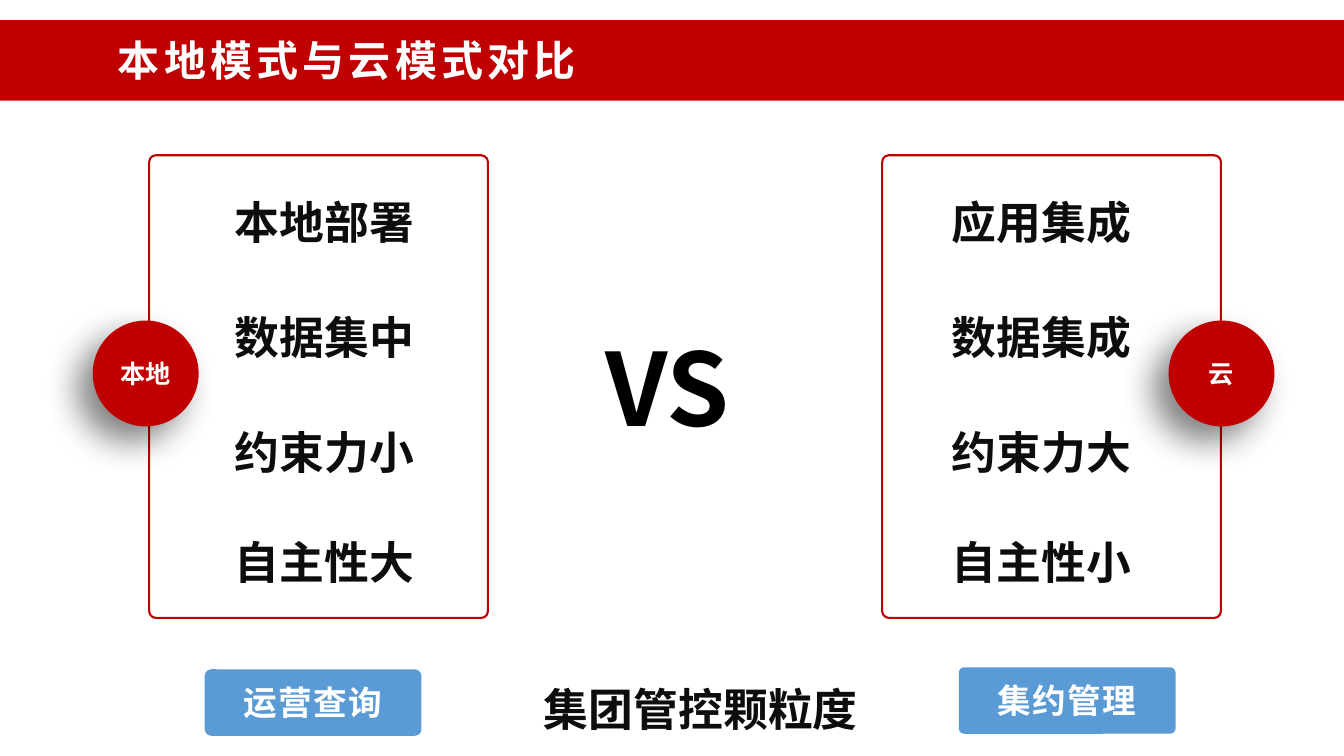
from lxml import etree
from pptx import Presentation
from pptx.dml.color import RGBColor
from pptx.enum.shapes import MSO_SHAPE as SHAPE
from pptx.enum.text import MSO_ANCHOR as ANCHOR, MSO_AUTO_SIZE as FIT, PP_ALIGN as ALIGN
from pptx.oxml import parse_xml
from pptx.oxml.ns import qn
from pptx.util import Pt

PX = 9144  # 100 px to the inch
COLORS = {"red": "C00000", "blue": "5B9BD5", "white": "FFFFFF", "black": "000000", "ink": "0D0D0D"}
CJK = "Noto Sans CJK SC"
ITEM_TOPS = (26, 140, 254, 363)


def rgb(name):
    return RGBColor.from_string(COLORS[name])


def px(*lengths):
    return [n * PX for n in lengths]


def add_run(p, text, size, color, font=CJK, spacing=0):
    r = p.add_run()
    r.text = text
    r.font.size, r.font.bold, r.font.name = Pt(size), True, font
    r.font.color.rgb = rgb(color)
    rpr = r.font._element
    etree.SubElement(rpr, qn("a:ea")).set("typeface", CJK)
    if spacing:
        rpr.set("spc", str(spacing * 100))


def add_box(shapes, kind, box, fill=None, line=None, radius=None):
    sp = shapes.add_shape(kind, *px(*box))
    sp.shadow.inherit = False
    if fill:
        sp.fill.solid()
        sp.fill.fore_color.rgb = rgb(fill)
    else:
        sp.fill.background()
    if line:
        sp.line.color.rgb = rgb(line)
        sp.line.width = Pt(1.5)
    else:
        sp.line.fill.background()
    if radius is not None:
        sp.adjustments[0] = radius
    return sp


def add_label(sp, text, size, **style):
    tf = sp.text_frame
    tf.vertical_anchor = ANCHOR.MIDDLE
    p = tf.paragraphs[0]
    p.alignment = ALIGN.CENTER
    add_run(p, text, size, "white", **style)


def add_phrase(shapes, text, box):
    """Large right-aligned phrase with narrow insets."""
    tf = shapes.add_textbox(*px(*box)).text_frame
    tf.word_wrap = True
    tf.auto_size = FIT.SHAPE_TO_FIT_TEXT
    tf.margin_left = tf.margin_right = 7 * PX
    tf.margin_top = tf.margin_bottom = 3 * PX
    p = tf.paragraphs[0]
    p.alignment, p.line_spacing = ALIGN.RIGHT, 1.2
    add_run(p, text, 32, "ink")


def add_header(s, x, y, w, h):
    band = add_box(s.shapes, SHAPE.RECTANGLE, (x, y, w, h), fill="red")
    title = s.shapes.title
    title.left, title.top, title.width, title.height = px(x + 107, y + 9, 483, 61)
    band.element.addnext(title.element)  # keeps the title in front of the band
    tf = title.text_frame
    tf.word_wrap, tf.auto_size = False, FIT.SHAPE_TO_FIT_TEXT
    tf.vertical_anchor = ANCHOR.TOP
    p = tf.paragraphs[0]
    p.alignment = ALIGN.LEFT
    add_run(p, "本地", 30, "white", font="Arial", spacing=3)
    add_run(p, "模式与云模式对比", 30, "white", spacing=3)


def add_card(s, x, y, w, h, items, indent, radius):
    group = s.shapes.add_group_shape().shapes
    for text, top in zip(items, ITEM_TOPS):
        add_phrase(group, text, (x + indent, y + top, 196, 66))
    add_box(group, SHAPE.ROUNDED_RECTANGLE, (x, y, w, h), line="red", radius=radius)


def add_versus(s, x, y, w, h):
    tf = s.shapes.add_textbox(*px(x, y, w, h)).text_frame
    tf.word_wrap, tf.auto_size = False, FIT.SHAPE_TO_FIT_TEXT
    add_run(tf.paragraphs[0], "VS", 72, "black")


def add_badge(s, x, y, size, text):
    sp = add_box(s.shapes, SHAPE.OVAL, (x, y, size, size), fill="red")
    effects = sp._element.spPr.find(qn("a:effectLst"))
    effects.append(parse_xml(
        '<a:outerShdw xmlns:a="http://schemas.openxmlformats.org/drawingml/2006/main"'
        f' blurRad="{Pt(25)}" dist="{Pt(15)}" dir="{135 * 60000}" algn="tr" rotWithShape="0">'
        f'<a:srgbClr val="{COLORS["black"]}"><a:alpha val="50000"/></a:srgbClr></a:outerShdw>'))
    add_label(sp, text, 18, font="Arial")


def add_tag(s, x, y, w, h, text, radius):
    sp = add_box(s.shapes, SHAPE.ROUNDED_RECTANGLE, (x, y, w, h), fill="blue", radius=radius)
    add_label(sp, text, 24, spacing=1)


def main():
    prs = Presentation()
    prs.slide_width, prs.slide_height = px(1333, 750)
    s = prs.slides.add_slide(prs.slide_layouts[5])
    add_header(s, 0, 20, 1333, 80)
    add_versus(s, 591, 318, 152, 131)
    add_card(s, 148, 154, 336, 459, ("本地部署", "数据集中", "约束力小", "自主性大"), 74, 0.02)
    add_card(s, 875, 154, 336, 459, ("应用集成", "数据集成", "约束力大", "自主性小"), 58, 0.02)
    add_phrase(s.shapes, "集团管控颗粒度", (520, 663, 338, 71))
    add_badge(s, 92, 318, 105, "本地")
    add_badge(s, 1159, 318, 105, "云")
    add_tag(s, 203, 664, 215, 66, "运营查询", 0.1)
    add_tag(s, 951, 662, 215, 66, "集约管理", 0.08)
    prs.save("out.pptx")


if __name__ == "__main__":
    main()
